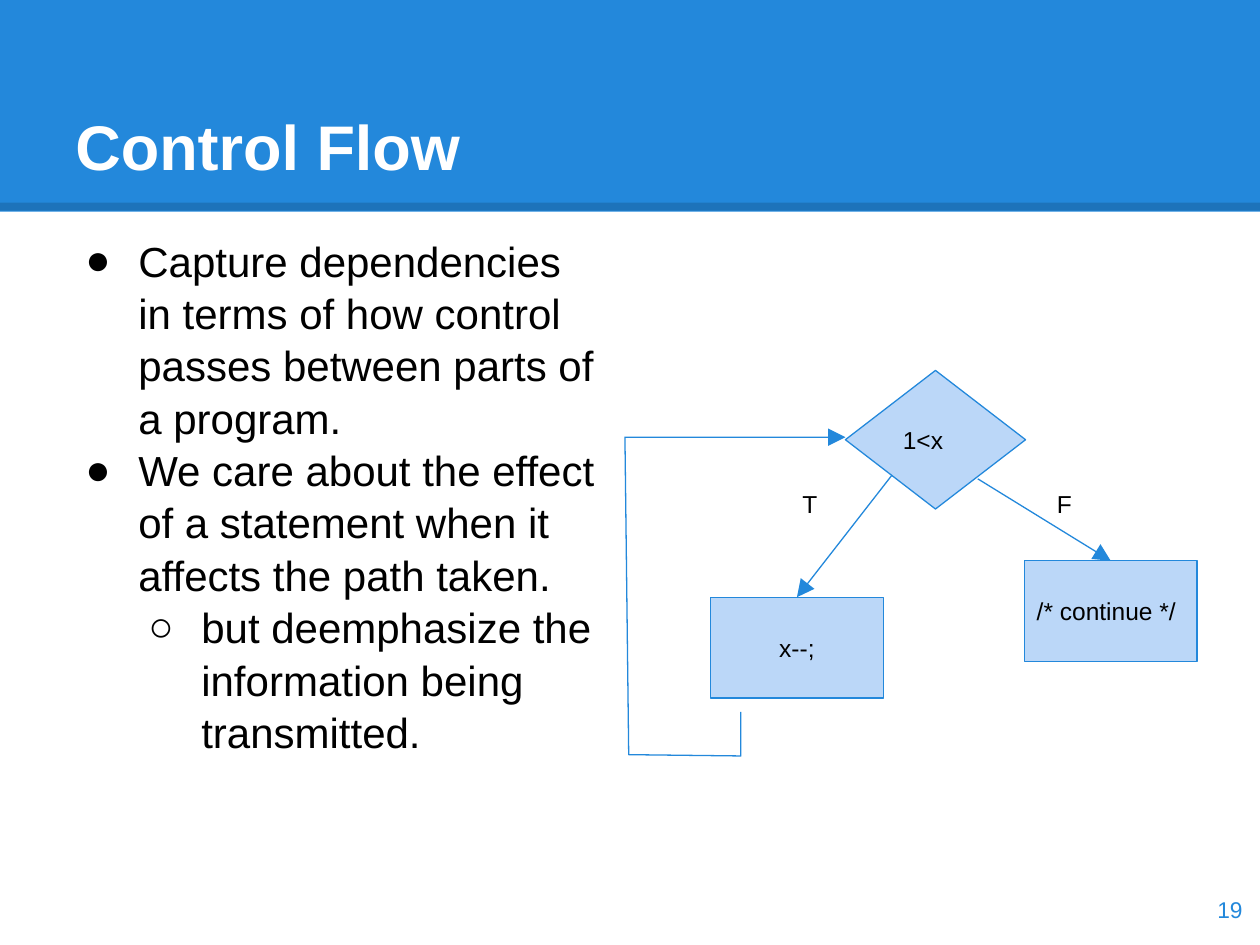
from dataclasses import dataclass

from lxml import etree
from pptx import Presentation
from pptx import util as u
from pptx.dml.color import RGBColor
from pptx.enum import shapes, text
from pptx.oxml import ns

SHAPE = shapes.MSO_SHAPE
ALIGN = text.PP_ALIGN
ANCHOR = text.MSO_ANCHOR


@dataclass(frozen=True)
class Theme:
    font: str = "Arial"
    accent: str = "2388DB"
    node: str = "BBD7F8"
    ink: str = "000000"
    paper: str = "FFFFFF"
    title: int = 36
    body: int = 24
    label: int = 14
    number: int = 13
    line: float = 0.75
    rule: float = 4.5


def sub(parent, tag, **attrs):
    return etree.SubElement(parent, ns.qn(tag), attrs)


class Slide:
    def __init__(self, prs, theme):
        self.t = theme
        self.s = prs.slides.add_slide(prs.slide_layouts[6])

    def style_line(self, sp, color, width, arrow=False):
        sp.line.color.rgb = RGBColor.from_string(color)
        sp.line.width = u.Pt(width)
        if arrow:
            sub(sp.line._get_or_add_ln(), "a:tailEnd", type="triangle", w="lg", len="lg")

    def style_text(self, p, size, color, bold=False):
        p.font.name = self.t.font
        p.font.size = u.Pt(size)
        p.font.bold = bold
        p.font.color.rgb = RGBColor.from_string(color)

    def frame(self, sp, anchor):
        tf = sp.text_frame
        tf.word_wrap = True
        tf.vertical_anchor = anchor
        tf.margin_left = tf.margin_right = tf.margin_top = tf.margin_bottom = u.Inches(0.1)
        return tf

    def shape(self, kind, box, fill):
        sp = self.s.shapes.add_shape(kind, *map(u.Inches, box))
        sp.shadow.inherit = False
        sp.fill.solid()
        sp.fill.fore_color.rgb = RGBColor.from_string(fill)
        return sp

    def band(self, box):
        self.shape(SHAPE.RECTANGLE, box, self.t.accent).line.fill.background()

    def node(self, kind, box, label, align=ALIGN.LEFT):
        sp = self.shape(kind, box, self.t.node)
        self.style_line(sp, self.t.accent, self.t.line)
        p = self.frame(sp, ANCHOR.MIDDLE).paragraphs[0]
        p.text = label
        p.alignment = align
        self.style_text(p, self.t.label, self.t.ink)
        return sp

    def text(self, box, label, size, color, anchor=ANCHOR.TOP, align=ALIGN.LEFT, bold=False):
        sp = self.s.shapes.add_textbox(*map(u.Inches, box))
        p = self.frame(sp, anchor).paragraphs[0]
        p.text = label
        p.alignment = align
        self.style_text(p, size, color, bold)

    def bullets(self, box, items):
        sp = self.s.shapes.add_textbox(*map(u.Inches, box))
        tf = self.frame(sp, ANCHOR.TOP)
        for i, (level, label) in enumerate(items):
            p = tf.paragraphs[0] if i == 0 else tf.add_paragraph()
            p.text = label
            p.level = level
            p.line_spacing = 1.04
            pPr = p._p.get_or_add_pPr()
            pPr.set("marL", str(u.Inches(0.5 * (level + 1))))
            pPr.set("indent", str(u.Inches(-0.42)))
            sub(sub(pPr, "a:buClr"), "a:srgbClr", val=self.t.ink)
            sub(pPr, "a:buFont", typeface=self.t.font)
            sub(pPr, "a:buChar", char="●○"[level])
            self.style_text(p, self.t.body, self.t.ink)

    def connector(self, start, end, color, width, arrow=False):
        sp = self.s.shapes.add_connector(
            shapes.MSO_CONNECTOR.STRAIGHT, *map(u.Inches, (*start, *end)))
        self.style_line(sp, color, width, arrow)
        sub(sp._element.spPr, "a:effectLst")
        return sp

    def rule(self, start, end):
        sp = self.connector(start, end, self.t.ink, self.t.rule)
        clr = sp._element.spPr.find(".//" + ns.qn("a:srgbClr"))
        sub(clr, "a:alpha", val="15000")

    def branch(self, start, target):
        end = (target.left.inches + target.width.inches / 2, target.top.inches)
        sp = self.connector(start, end, self.t.accent, self.t.line, arrow=True)
        sp.end_connect(target, 0)

    def path_arrow(self, points):
        pts = [tuple(map(u.Inches, pt)) for pt in points]
        fb = self.s.shapes.build_freeform(*pts[0])
        fb.add_line_segments(pts[1:], close=False)
        sp = fb.convert_to_shape()
        sp.shadow.inherit = False
        sp.fill.background()
        self.style_line(sp, self.t.accent, self.t.line, arrow=True)


def main():
    prs = Presentation()
    prs.slide_width, prs.slide_height = u.Inches(10), u.Inches(7.5)
    t = Theme()
    s = Slide(prs, t)

    s.band((0, 0, 10, 1.68))
    s.rule((0, 1.64), (10, 1.64))
    s.text((0.5, 0.3, 9, 1.25), "Control Flow", t.title, t.paper, ANCHOR.BOTTOM, bold=True)
    s.bullets((0.5, 1.75, 4.37, 5.43), [
        (0, "Capture dependencies in terms of how control passes between parts of a program."),
        (0, "We care about the effect of a statement when it affects the path taken."),
        (1, "but deemphasize the information being transmitted."),
    ])

    loop_body = s.node(SHAPE.RECTANGLE, (5.64, 4.74, 1.37, 0.8), "x--;", ALIGN.CENTER)
    loop_exit = s.node(SHAPE.RECTANGLE, (8.13, 4.45, 1.37, 0.8), "/* continue */")
    s.branch((7.76, 3.8), loop_exit)
    s.node(SHAPE.DIAMOND, (6.71, 2.94, 1.43, 1.1), "1<x")
    s.branch((7.08, 3.77), loop_body)
    for x, label in ((6.27, "T"), (8.29, "F")):
        s.text((x, 3.78, 0.44, 0.3), label, t.label, t.ink)
    s.path_arrow([(5.88, 5.65), (5.88, 6), (4.99, 5.99), (4.96, 3.47), (6.71, 3.47)])

    s.text((9.36, 6.93, 0.6, 0.57), "19", t.number, t.accent, ANCHOR.MIDDLE, ALIGN.RIGHT)
    prs.save("out.pptx")


if __name__ == "__main__":
    main()
